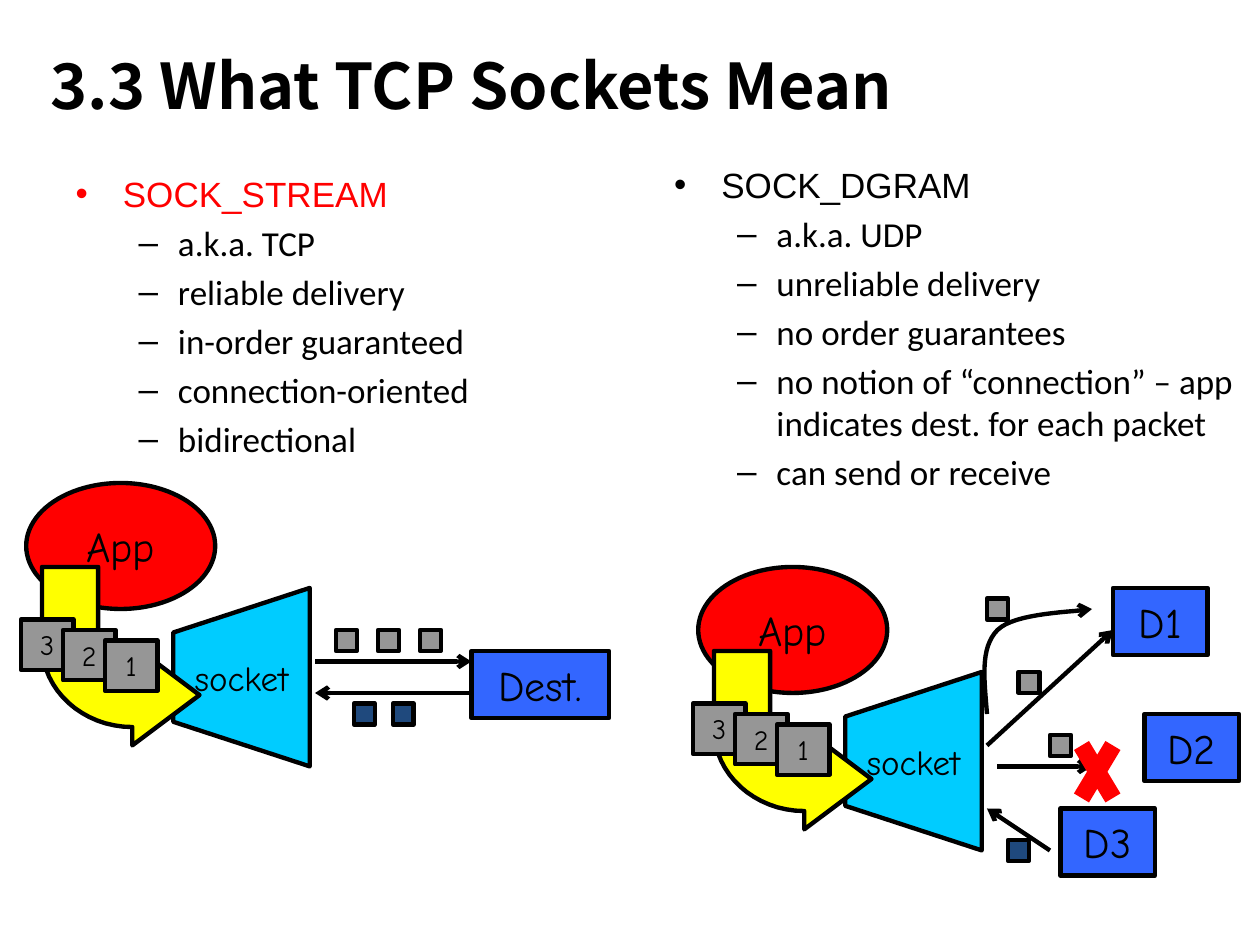
import lxml.etree
import pptx
import pptx.dml.color
import pptx.enum.shapes
import pptx.enum.text
import pptx.oxml
import pptx.oxml.ns
import pptx.util

SHAPE = pptx.enum.shapes.MSO_SHAPE
MIDDLE = pptx.enum.text.MSO_ANCHOR.MIDDLE
TOP = pptx.enum.text.MSO_ANCHOR.TOP
CENTER = pptx.enum.text.PP_ALIGN.CENTER
LEFT = pptx.enum.text.PP_ALIGN.LEFT
UNIT = pptx.util.Inches(10) // 120  # the slide is a grid of 120 columns, 90 rows
BLACK, RED, YELLOW, CYAN = "000000", "FF0000", "FFFF00", "00CCFF"
GRAY, BLUE, NAVY = "969696", "3366FF", "1F497D"
PACKET = 2
HOST_HEIGHT = 6.4


def grid(*cells):
    return [round(cell * UNIT) for cell in cells]


def rgb(value):
    return pptx.dml.color.RGBColor.from_string(value)


def write(para, text, size, font, color=BLACK, bold=False, align=None):
    para.alignment = align
    span = para.add_run()
    span.text = text
    span.font.size = pptx.util.Pt(size)
    span.font.name = font
    span.font.bold = bold
    span.font.color.rgb = rgb(color)


def place(holder, box, anchor):
    """Move a placeholder to its box on the grid."""
    holder.left, holder.top, holder.width, holder.height = grid(*box)
    frame = holder.text_frame
    frame.auto_size = pptx.enum.text.MSO_AUTO_SIZE.NONE
    frame.vertical_anchor = anchor
    return frame


def style(shape, fill=None, text="", size=24):
    shape.shadow.inherit = False
    if fill:
        shape.fill.solid()
        shape.fill.fore_color.rgb = rgb(fill)
    else:
        shape.fill.background()
    shape.line.color.rgb = rgb(BLACK)
    shape.line.width = pptx.util.Pt(2.5)
    if text:
        frame = shape.text_frame
        frame.word_wrap = False
        frame.vertical_anchor = MIDDLE
        write(frame.paragraphs[0], text, size, "Comic Neue", align=CENTER)
    return shape


def add_arrowhead(line):
    lxml.etree.SubElement(line.line._get_or_add_ln(),
                          pptx.oxml.ns.qn("a:tailEnd"), type="arrow")


def curve(start, first, second, end, steps=16):
    """Points along a cubic curve, without its start."""
    points = []
    for step in range(1, steps + 1):
        t = step / steps
        weights = ((1 - t) ** 3, 3 * t * (1 - t) ** 2, 3 * t * t * (1 - t), t ** 3)
        corners = (start, first, second, end)
        points.append(tuple(sum(w * c[axis] for w, c in zip(weights, corners))
                            for axis in (0, 1)))
    return points


class Diagram:
    """Draws parts at grid positions relative to its own corner."""

    def __init__(self, page, left, top):
        self.shapes = page.shapes
        self.left, self.top = left, top

    def at(self, x, y):
        return grid(self.left + x, self.top + y)

    def block(self, x, y, width, height, fill, text="", size=24, kind=SHAPE.RECTANGLE):
        shape = self.shapes.add_shape(kind, *self.at(x, y), *grid(width, height))
        return style(shape, fill, text, size)

    def packets(self, places, fill=GRAY):
        for x, y in places:
            self.block(x, y, PACKET, PACKET, fill)

    def outline(self, points, fill=None, text="", size=24, close=True):
        corners = [self.at(*point) for point in points]
        builder = self.shapes.build_freeform(*corners[0])
        builder.add_line_segments(corners[1:], close=close)
        return style(builder.convert_to_shape(), fill, text, size)

    def line(self, start, end, color=BLACK, width=2.5, arrow=True):
        line = self.shapes.add_connector(pptx.enum.shapes.MSO_CONNECTOR.STRAIGHT,
                                         *self.at(*start), *self.at(*end))
        line.line.color.rgb = rgb(color)
        line.line.width = pptx.util.Pt(width)
        if arrow:
            add_arrowhead(line)
        lxml.etree.SubElement(line._element.spPr, pptx.oxml.ns.qn("a:effectLst"))


def draw_sender(area):
    """App feeding numbered packets into a socket."""
    area.block(0.5, 0, 18, 12, RED, "App", kind=SHAPE.OVAL)
    area.outline([(27.5, 10), (14.5, 14.25), (14.5, 22.75), (27.5, 27)],
                 CYAN, "socket", 20)
    outer = curve((10.6, 23.25), (5.9, 23.25), (2, 19.75), (2, 15.4))
    inner = curve((7.35, 15.4), (7.35, 16.4), (8.8, 17.25), (10.6, 17.25))
    area.outline([(17, 20.2), (10.6, 25), (10.6, 23.25), *outer, (2, 8),
                  (7.35, 8), (7.35, 15.4), *inner, (10.6, 15.4)], YELLOW)
    for index, number in enumerate("321"):
        area.block(4 * index, 13 + index, 5, 4.8, GRAY, number, 16)


def draw_stream(page, left, top):
    area = Diagram(page, left, top)
    draw_sender(area)
    area.packets([(30 + 4 * index, 14) for index in range(3)])
    area.line((28, 17), (42.9, 17))
    area.block(42.9, 16, 13.1, HOST_HEIGHT, BLUE, "Dest.")
    area.line((42.9, 20), (28, 20))
    area.packets([(31.7, 21), (35.4, 21)], NAVY)


def draw_datagram(page, left, top):
    area = Diagram(page, left, top)
    draw_sender(area)
    area.packets([(28, 3), (31, 10), (34, 16)])
    area.line((28, 17), (40, 6))
    for name, x, y in (("D1", 40, 2), ("D3", 35, 23), ("D2", 43, 14)):
        area.block(x, y, 9, HOST_HEIGHT, BLUE, name)
    rise = curve((28, 14), (27.75, 10.8), (27.3, 7.7), (29, 6))
    bend = curve((29, 6), (30.7, 4.3), (36.5, 4.3), (38, 4))
    add_arrowhead(area.outline([(28, 14), *rise, *bend], close=False))
    area.line((29, 19), (38, 19))
    for start, end in ((37, 40), (40, 37)):
        area.line((start, 17), (end, 22), RED, 10, arrow=False)
    area.line((34, 27), (28, 23))
    area.packets([(30, 26)], NAVY)


def fill_list(holder, box, heading, items, color=BLACK):
    frame = place(holder, box, TOP)
    write(frame.paragraphs[0], heading, 20, "Arial", color)
    for item in items:
        para = frame.add_paragraph()
        para.level = 1
        write(para, item, 20, "Calibri")


def main():
    deck = pptx.Presentation()
    deck.slide_width, deck.slide_height = grid(120, 90)
    page = deck.slides.add_slide(deck.slide_layouts.get_by_name("Two Content"))
    title, stream, datagram = page.placeholders
    frame = place(title, (3.6, 3.4, 110.4, 9.2), MIDDLE)
    write(frame.paragraphs[0], "3.3 What TCP Sockets Mean", 36,
          "Noto Sans CJK SC", bold=True, align=LEFT)
    fill_list(stream, (6, 15.8, 53, 63.4), "SOCK_STREAM",
              ["a.k.a. TCP", "reliable delivery", "in-order guaranteed",
               "connection-oriented", "bidirectional"], RED)
    fill_list(datagram, (63, 15, 57, 61), "SOCK_DGRAM",
              ["a.k.a. UDP", "unreliable delivery", "no order guarantees",
               "no notion of “connection” – app indicates dest. for each packet",
               "can send or receive"])
    draw_stream(page, 2, 46)
    draw_datagram(page, 66, 54)
    deck.save("out.pptx")


if __name__ == "__main__":
    main()
